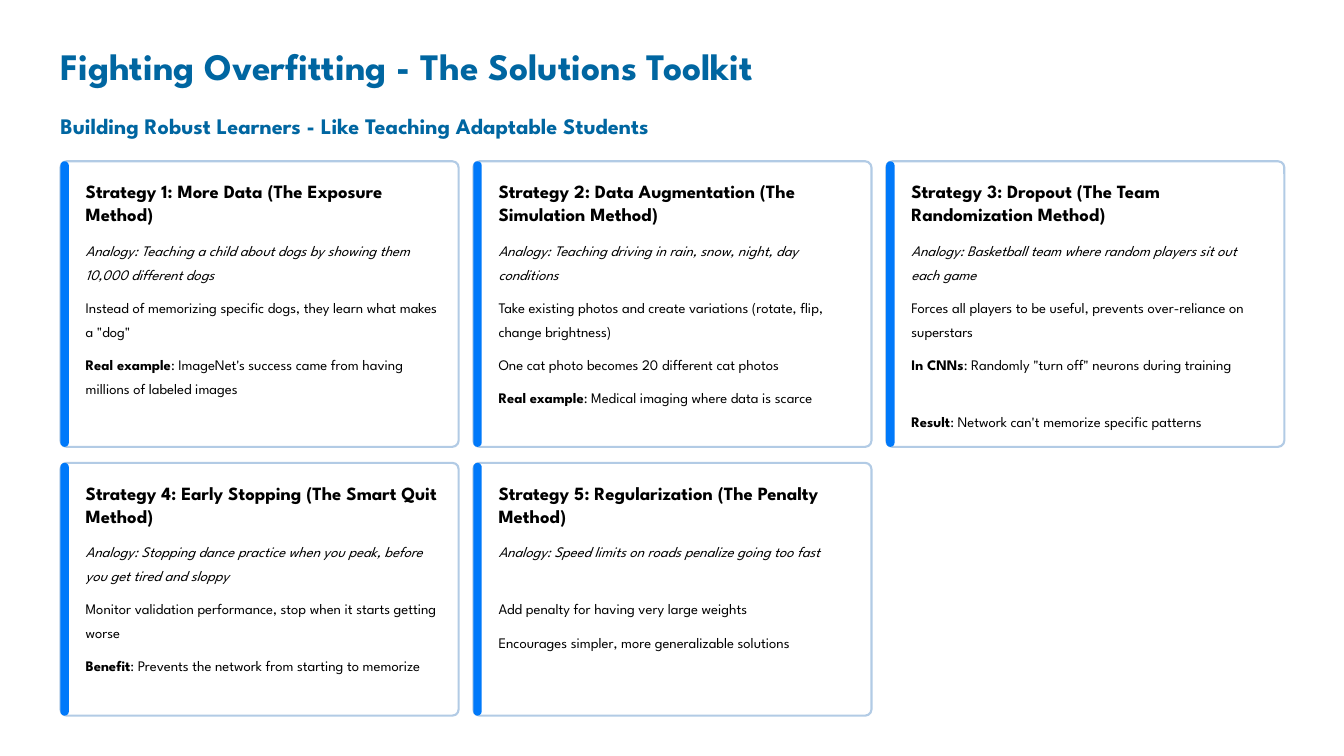
"""Build the slide on strategies against overfitting."""
from pptx import Presentation
from pptx.dml.color import RGBColor
from pptx.enum.shapes import MSO_SHAPE
from pptx.enum.text import MSO_ANCHOR, MSO_AUTO_SIZE, PP_ALIGN
from pptx.util import Inches, Pt

HEADING = RGBColor(0x00, 0x66, 0xA1)
BLACK = RGBColor(0x00, 0x00, 0x00)
WHITE = RGBColor(0xFF, 0xFF, 0xFF)
BORDER = RGBColor(0xB2, 0xCB, 0xE5)
ACCENT = RGBColor(0x00, 0x79, 0xFA)
FONT = "League Spartan"

LEFT, PITCH, CARD_W = 0.72, 9.83 / 2, 4.74
ROWS = [(1.92, 3.4), (5.51, 3.01)]
LINE_H, GAP = 0.285, 0.11

CARDS = [
    ("Strategy 1: More Data (The Exposure Method)",
     "Analogy: Teaching a child about dogs by showing them 10,000 different dogs",
     [(2, "", 'Instead of memorizing specific dogs, they learn what makes a "dog"'),
      (2, "Real example", ": ImageNet's success came from having millions of labeled images")]),
    ("Strategy 2: Data Augmentation (The Simulation Method)",
     "Analogy: Teaching driving in rain, snow, night, day conditions",
     [(2, "", "Take existing photos and create variations (rotate, flip, change brightness)"),
      (1, "", "One cat photo becomes 20 different cat photos"),
      (1, "Real example", ": Medical imaging where data is scarce")]),
    ("Strategy 3: Dropout (The Team Randomization Method)",
     "Analogy: Basketball team where random players sit out each game",
     [(2, "", "Forces all players to be useful, prevents over-reliance on superstars"),
      (2, "In CNNs", ': Randomly "turn off" neurons during training'),
      (1, "Result", ": Network can't memorize specific patterns")]),
    ("Strategy 4: Early Stopping (The Smart Quit Method)",
     "Analogy: Stopping dance practice when you peak, before you get tired and sloppy",
     [(2, "", "Monitor validation performance, stop when it starts getting worse"),
      (2, "Benefit", ": Prevents the network from starting to memorize")]),
    ("Strategy 5: Regularization (The Penalty Method)",
     "Analogy: Speed limits on roads penalize going too fast",
     [(1, "", "Add penalty for having very large weights"),
      (1, "", "Encourages simpler, more generalizable solutions")]),
]


class SlideBuilder:
    """Hold the text style and the current slide."""

    def __init__(self, prs):
        self.slide = prs.slides.add_slide(prs.slide_layouts[5])
        self.slide.background.fill.solid()
        self.slide.background.fill.fore_color.rgb = WHITE

    def set_text(self, sp, runs, size, leading, color=BLACK, italic=False, wrap=True):
        """Fill a shape with one paragraph of (text, bold) runs."""
        tf = sp.text_frame
        tf.margin_left = tf.margin_right = tf.margin_top = tf.margin_bottom = 0
        tf.auto_size = MSO_AUTO_SIZE.NONE
        tf.vertical_anchor = MSO_ANCHOR.TOP
        tf.word_wrap = wrap
        p = tf.paragraphs[0]
        p.alignment = PP_ALIGN.LEFT
        p.line_spacing = Pt(leading)
        for text, bold in runs:
            r = p.add_run()
            r.text = text
            r.font.name, r.font.size = FONT, Pt(size)
            r.font.bold, r.font.italic = bold, italic
            r.font.color.rgb = color

    def title(self, text, x, y, w, h):
        """Place and format the title placeholder."""
        sp = self.slide.shapes.title
        sp.left, sp.top, sp.width, sp.height = map(Inches, (x, y, w, h))
        self.set_text(sp, [(text, True)], 32, 40, HEADING, wrap=False)

    def text(self, runs, x, y, w, h, size, leading, **style):
        """Add a text box."""
        sp = self.slide.shapes.add_textbox(*map(Inches, (x, y, w, h)))
        self.set_text(sp, runs, size, leading, **style)

    def panel(self, x, y, w, h, radius, fill, line=None):
        """Add a rounded rectangle with a corner radius in inches."""
        sp = self.slide.shapes.add_shape(
            MSO_SHAPE.ROUNDED_RECTANGLE, *map(Inches, (x, y, w, h)))
        sp.adjustments[0] = radius / min(w, h)
        sp.shadow.inherit = False
        sp.fill.solid()
        sp.fill.fore_color.rgb = fill
        if line is None:
            sp.line.fill.background()
        else:
            sp.line.color.rgb = line
            sp.line.width = Pt(1.8)

    def card(self, x, y, h, heading, analogy, points):
        """Add a card with an accent bar, a heading, an analogy and its points."""
        self.panel(x, y, CARD_W, h, 0.075, WHITE, BORDER)
        self.panel(x, y, 0.1, h, 0.075, ACCENT)
        x, w = x + 0.3, 4.23
        self.text([(heading, True)], x, y + 0.21, w, 0.56, 16, 20)
        y += 0.88
        for i, (lines, lead, rest) in enumerate([(2, "", analogy)] + points):
            runs = [(lead, True), (rest, False)] if lead else [(rest, False)]
            height = lines * LINE_H
            self.text(runs, x, y, w, height, 12.5, 20.5, italic=i == 0, wrap=lines > 1)
            y += height + GAP


def main():
    prs = Presentation()
    prs.slide_width, prs.slide_height = Inches(16), Inches(9)
    s = SlideBuilder(prs)
    s.title("Fighting Overfitting - The Solutions Toolkit", LEFT, 0.49, 8.96, 0.56)
    s.text([("Building Robust Learners - Like Teaching Adaptable Students", True)],
           LEFT, 1.32, 7.68, 0.34, 19, 24, color=HEADING, wrap=False)
    for i, content in enumerate(CARDS):
        row, col = divmod(i, 3)
        y, h = ROWS[row]
        s.card(LEFT + col * PITCH, y, h, *content)
    prs.save("out.pptx")


if __name__ == "__main__":
    main()
